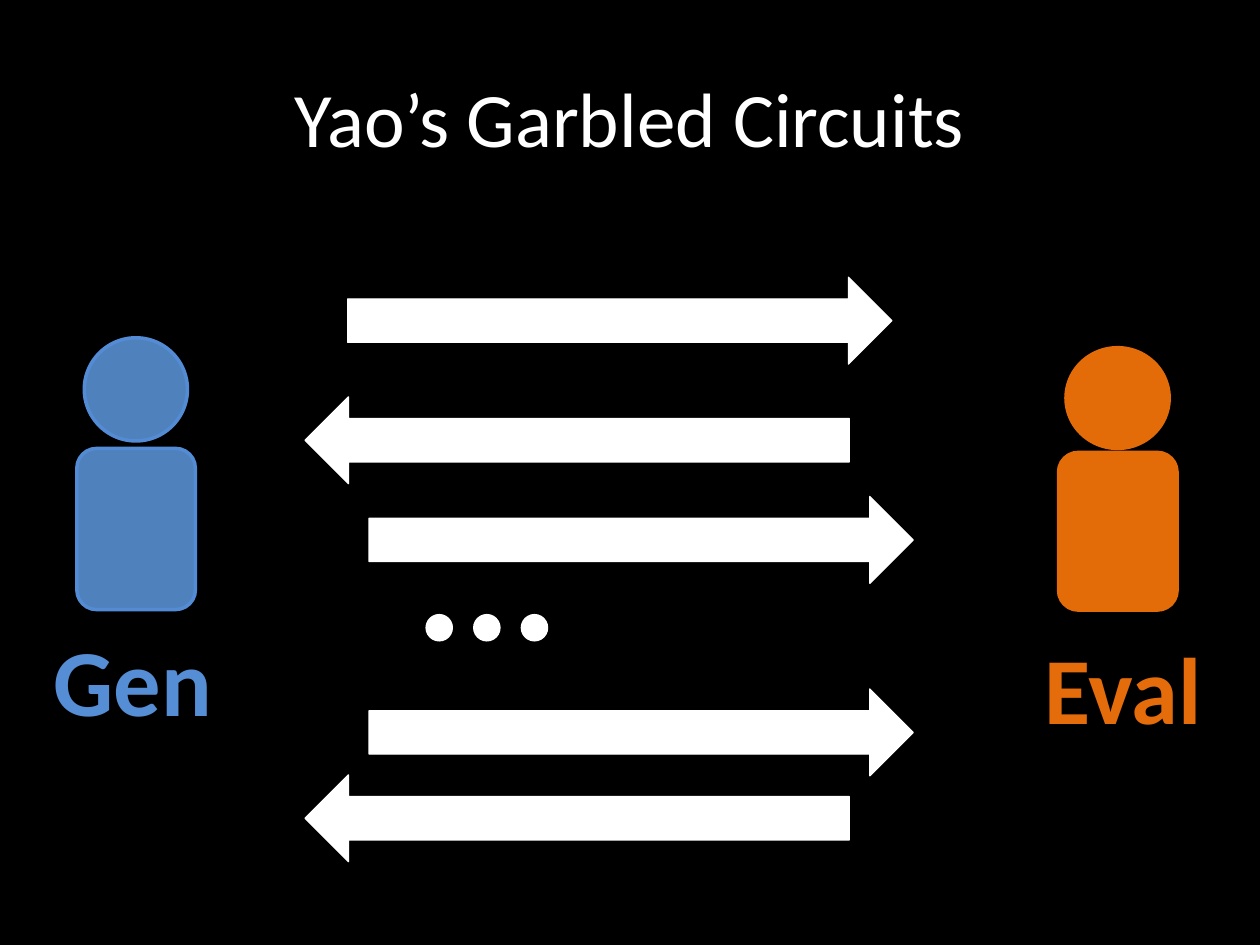
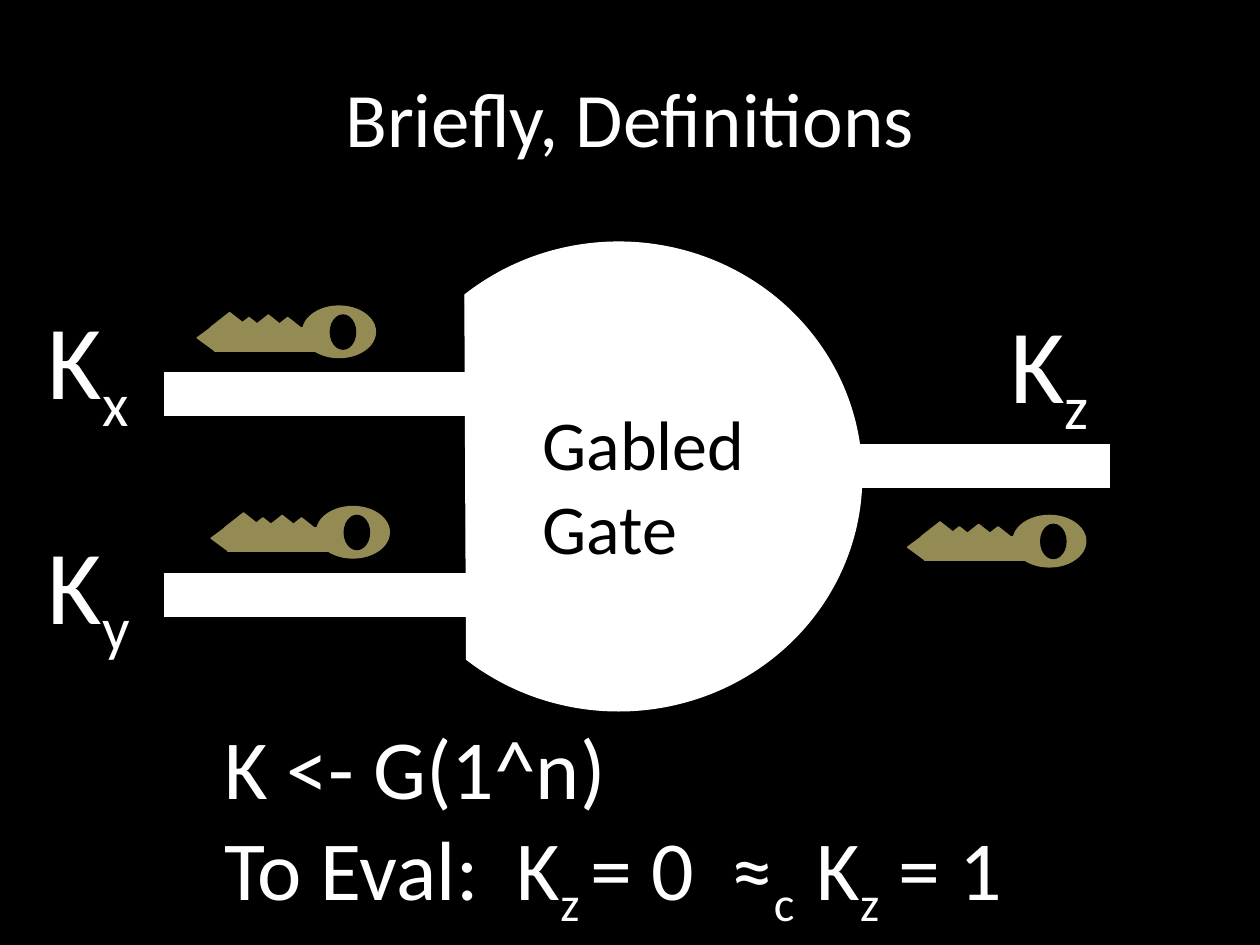
import pptx
import pptx.dml.color
import pptx.enum.dml
import pptx.enum.shapes
import pptx.enum.text
import pptx.oxml
import pptx.util
from pptx.util import Cm

RGB = pptx.dml.color.RGBColor.from_string
MSO = pptx.enum.shapes.MSO_SHAPE
ALIGN = pptx.enum.text.PP_ALIGN
ANCHOR = pptx.enum.text.MSO_ANCHOR


class Theme:
    font = "Calibri"
    black = RGB("000000")
    white = RGB("FFFFFF")
    gen_fill = RGB("4F81BD")
    gen_line = RGB("538CD5")
    gen_name = RGB("558ED5")
    eval_fill = RGB("E36C09")
    eval_name = RGB("E46C0A")
    key = RGB("948A54")
    title_size = 44
    name_size = 54
    wire_size = 60
    gate_size = 40
    formula_size = 48
    hairline = 0.75
    person_line = 2
    wire_line = 25


def add_shape(shapes, kind, box, fill, line=None, width=Theme.hairline, rotation=0):
    sp = shapes.add_shape(kind, *map(Cm, box))
    sp.shadow.inherit = False
    sp.fill.solid()
    sp.fill.fore_color.rgb = fill
    sp.line.color.rgb = line or fill
    sp.line.width = pptx.util.Pt(width)
    sp.rotation = rotation
    return sp


def add_text(s, box, paragraphs, size, color=Theme.white, align=ALIGN.LEFT,
             anchor=ANCHOR.TOP, bold=False, wrap=True):
    tf = s.shapes.add_textbox(*map(Cm, box)).text_frame
    tf.word_wrap = wrap
    tf.vertical_anchor = anchor
    for i, parts in enumerate(paragraphs):
        p = tf.add_paragraph() if i else tf.paragraphs[0]
        p.alignment = align
        p.font.name = Theme.font
        p.font.size = pptx.util.Pt(size)
        p.font.bold = bold
        p.font.color.rgb = color
        for j, part in enumerate(parts):
            r = p.add_run()
            r.text = part
            if j % 2:
                r._r.get_or_add_rPr().set("baseline", "-25000")


prs = pptx.Presentation()
prs.slide_width, prs.slide_height = Cm(25.4), Cm(19.05)
background = prs.slide_master.background.fill
background.solid()
background.fore_color.rgb = Theme.black

slides = []
for title in ("Yao’s Garbled Circuits", "Briefly, Definitions"):
    s = prs.slides.add_slide(prs.slide_layouts[6])
    add_text(s, (1.27, 0.76, 22.86, 3.18), [[title]], Theme.title_size,
             align=ALIGN.CENTER, anchor=ANCHOR.MIDDLE)
    slides.append(s)
protocol, definitions = slides

people = [
    ("Gen", (1.7, 6.81, 2.08, 2.08), (1.55, 9.04, 2.39, 3.25), (0.81, 12.42, 3.73, 2.57),
     Theme.gen_fill, Theme.gen_line, Theme.gen_name),
    ("Eval", (21.49, 7.01, 2.08, 2.03), (21.34, 9.12, 2.39, 3.18), (20.75, 12.57, 3.78, 2.57),
     Theme.eval_fill, Theme.eval_fill, Theme.eval_name),
]
for name, head, body, label, fill, line, color in people:
    person = protocol.shapes.add_group_shape().shapes
    add_shape(person, MSO.OVAL, head, fill, line, Theme.person_line)
    add_shape(person, MSO.ROUNDED_RECTANGLE, body, fill, line, Theme.person_line)
    add_text(protocol, label, [[name]], Theme.name_size, color, ALIGN.CENTER,
             bold=True, wrap=False)

messages = [(7.01, 5.59, 0), (6.15, 8, 180), (7.44, 10.01, 0), (7.44, 13.89, 0), (6.15, 15.62, 180)]
for x, y, rotation in messages:
    add_shape(protocol.shapes, MSO.RIGHT_ARROW, (x, y, 10.97, 1.75), Theme.white, rotation=rotation)

dots = protocol.shapes.add_group_shape().shapes
for i in range(3):
    add_shape(dots, MSO.OVAL, (8.59 + 0.96 * i, 12.39, 0.53, 0.53), Theme.white)

for x, y in ((3.3, 7.95), (3.3, 11.99), (16.28, 9.4)):
    wire = definitions.shapes.add_connector(
        pptx.enum.shapes.MSO_CONNECTOR.STRAIGHT, Cm(x), Cm(y), Cm(x + 6.1), Cm(y))
    wire.line.color.rgb = Theme.white
    wire.line.width = pptx.util.Pt(Theme.wire_line)
    wire._element.spPr.append(pptx.oxml.parse_xml(
        '<a:effectLst xmlns:a="http://schemas.openxmlformats.org/drawingml/2006/main"/>'))

gate = add_shape(definitions.shapes, MSO.CHORD, (7.57, 4.88, 9.8, 9.45), Theme.white, rotation=180)
gate.adjustments[0] = 29.86
gate.adjustments[1] = 185.84

for letter, x, y, width in (("x", 0.71, 5.82, 2.9), ("y", 0.71, 10.34, 2.26), ("z", 20.12, 5.89, 2.26)):
    add_text(definitions, (x, y, width, 2.82), [["K", letter]], Theme.wire_size)
add_text(definitions, (10.69, 7.95, 4.9, 3.68), [["Gabled Gate"]], Theme.gate_size, Theme.black)

for x, y in ((3.89, 6.17), (4.17, 10.21), (18.21, 10.39)):
    key = definitions.shapes.add_group_shape().shapes
    add_shape(key, MSO.OVAL, (x + 2.21, y, 1.47, 1.04), Theme.key)
    add_shape(key, MSO.RECTANGLE, (x + 0.43, y + 0.43, 2.03, 0.48), Theme.key)
    for i, drop in enumerate((0.13, 0.23, 0.18, 0.23)):
        add_shape(key, MSO.ISOSCELES_TRIANGLE, (x + 0.36 + 0.39 * i, y + drop, 0.76, 0.3), Theme.key)
    add_shape(key, MSO.ISOSCELES_TRIANGLE, (x, y + 0.46, 0.53, 0.36), Theme.key, rotation=270)
    add_shape(key, MSO.OVAL, (x + 2.77, y + 0.18, 0.51, 0.69), Theme.black)

add_text(definitions, (4.27, 14.3, 17.17, 4.37),
         [["K <- G(1^n)"], ["To Eval:  K", "z ", "= 0  ≈", "c  ", "K", "z", " = 1"]],
         Theme.formula_size)

prs.save("out.pptx")
